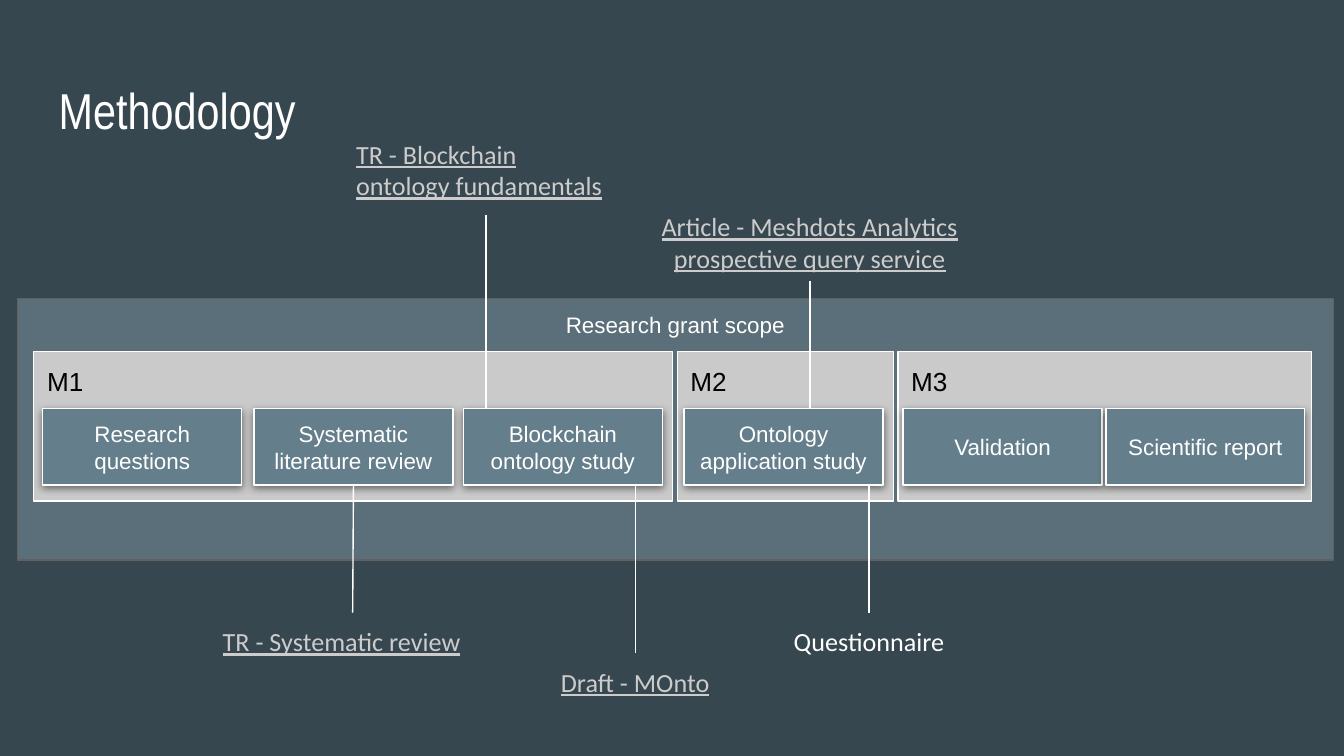
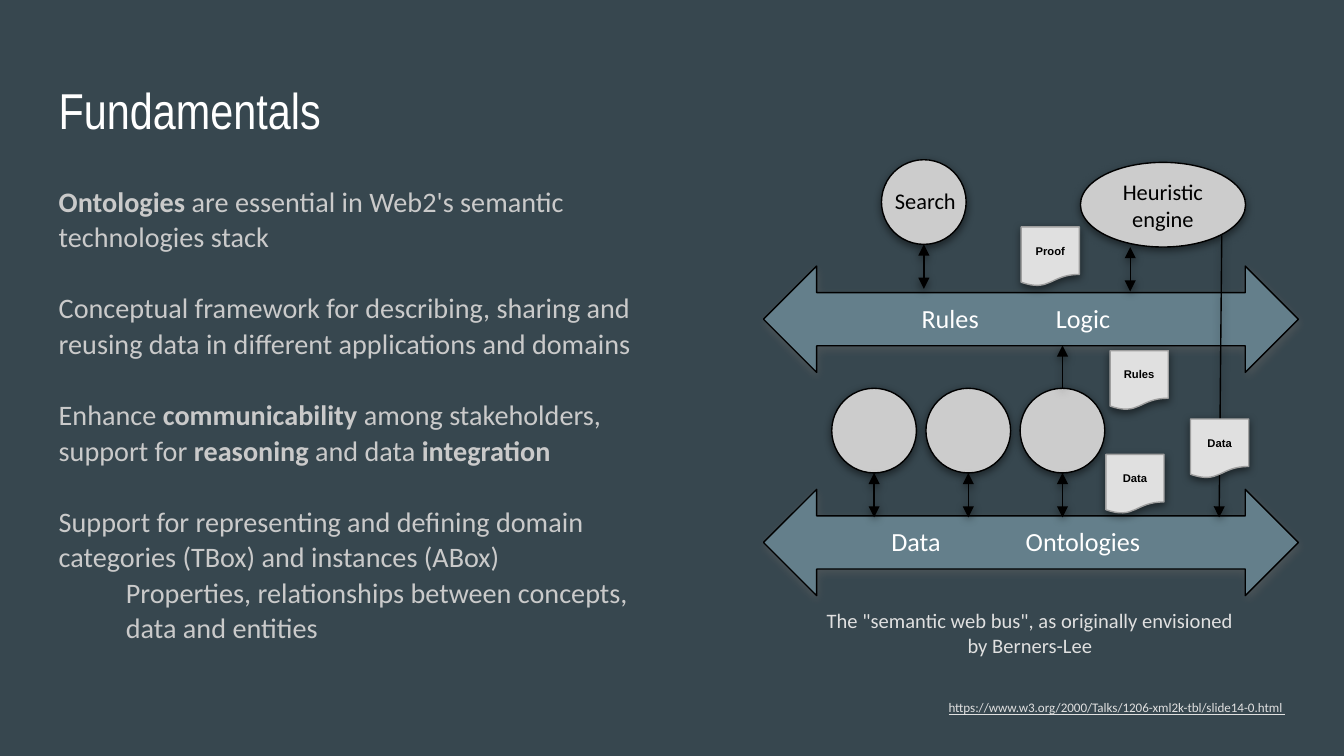
from lxml.etree import SubElement
from pptx import Presentation
from pptx.dml.color import RGBColor
from pptx.enum.shapes import MSO_CONNECTOR as Link, MSO_SHAPE as Shape
from pptx.enum.text import MSO_ANCHOR as Anchor, MSO_AUTO_SIZE as AutoSize, PP_ALIGN as Align
from pptx.oxml.ns import qn
from pptx.util import Cm, Pt

COLOURS = {
    "background": "37474F",
    "scope": "5A6F79",
    "scope_edge": "616161",
    "milestone": "CACACA",
    "step": "647F8B",
    "node": "CCCCCC",
    "document": "E0E0E0",
    "document_edge": "9E9E9E",
    "white": "FFFFFF",
    "black": "000000",
}
TITLE_ONLY, TITLE_AND_BODY = 5, 1
TOP, BOTTOM = 0, 2


def rgb(name):
    return RGBColor.from_string(COLOURS[name])


class Deck:
    def __init__(self):
        self.prs = Presentation()
        self.prs.slide_width, self.prs.slide_height = Cm(25.4), Cm(14.29)
        backdrop = self.prs.slide_master.background.fill
        backdrop.solid()
        backdrop.fore_color.rgb = rgb("background")
        self.slide = None

    def new_slide(self, heading, layout):
        self.slide = self.prs.slides.add_slide(self.prs.slide_layouts[layout])
        title = self.slide.shapes.title
        self.place(title, 0.86, 1.24, 23.67, 1.6)
        self.letter(title, heading, 27, "white", "Arial Narrow", Align.LEFT)

    def place(self, shape, left, top, width, height):
        shape.left, shape.top = Cm(left), Cm(top)
        shape.width, shape.height = Cm(width), Cm(height)

    def frame(self, shape, anchor):
        frame = shape.text_frame
        frame.word_wrap = True
        frame.auto_size = AutoSize.NONE
        frame.vertical_anchor = anchor
        frame.margin_left = frame.margin_right = Cm(0.25)
        frame.margin_top = frame.margin_bottom = Cm(0.25)
        return frame

    def style(self, paragraph, size, colour, font, align):
        paragraph.alignment = align
        for run in paragraph.runs:
            run.font.size = Pt(size)
            run.font.name = font
            run.font.color.rgb = rgb(colour)

    def letter(self, shape, text, size, colour, font="Calibri", align=Align.CENTER,
               anchor=Anchor.TOP, bold=False, underline=False):
        frame = self.frame(shape, anchor)
        frame.text = text
        for paragraph in frame.paragraphs:
            self.style(paragraph, size, colour, font, align)
            for run in paragraph.runs:
                run.font.bold = bold
                run.font.underline = underline

    def body(self, box, items, size, colour):
        holder = self.slide.placeholders[1]
        self.place(holder, *box)
        frame = self.frame(holder, Anchor.TOP)
        for number, (text, indent, gap) in enumerate(items):
            paragraph = frame.add_paragraph() if number else frame.paragraphs[0]
            for part, words in enumerate(text.split("*")):
                if words:
                    run = paragraph.add_run()
                    run.text = words
                    run.font.bold = part % 2 == 1
            self.style(paragraph, size, colour, "Calibri", Align.LEFT)
            paragraph.line_spacing = 1.05
            paragraph.space_before = Pt(gap)
            properties = paragraph._p.get_or_add_pPr()
            properties.set("marL", str(Cm(indent)))
            properties.set("indent", "0")
            SubElement(properties, qn("a:buNone"))

    def label(self, box, text, size=14, colour="white", **kwargs):
        label = self.slide.shapes.add_textbox(*map(Cm, box))
        self.letter(label, text, size, colour, **kwargs)
        return label

    def cast_shadow(self, effects, colour="black"):
        shadow = SubElement(effects, qn("a:outerShdw"), blurRad=str(Pt(4.5)), dist=str(Pt(1.5)),
                            dir="5400000", algn="bl", rotWithShape="0")
        tint = SubElement(shadow, qn("a:srgbClr"), val=COLOURS[colour])
        SubElement(tint, qn("a:alpha"), val="50000")

    def block(self, kind, box, fill, edge, shadow=None):
        block = self.slide.shapes.add_shape(kind, *map(Cm, box))
        block.fill.solid()
        block.fill.fore_color.rgb = rgb(fill)
        block.line.color.rgb = rgb(edge)
        block.line.width = Pt(0.75)
        block.shadow.inherit = False
        if shadow:
            self.cast_shadow(block._element.spPr.find(qn("a:effectLst")), shadow)
        return block

    def line(self, x1, y1, x2, y2, colour, ends=(), shadow=False):
        line = self.slide.shapes.add_connector(Link.STRAIGHT, *map(Cm, (x1, y1, x2, y2)))
        line.line.color.rgb = rgb(colour)
        line.line.width = Pt(0.75)
        properties = line._element.spPr
        for end in ends:
            SubElement(properties.find(qn("a:ln")), qn(f"a:{end}"), type="triangle")
        effects = SubElement(properties, qn("a:effectLst"))
        if shadow:
            self.cast_shadow(effects)
        return line


def methodology(deck):
    deck.new_slide("Methodology", TITLE_ONLY)
    scope = deck.block(Shape.RECTANGLE, (0.33, 5.64, 24.87, 4.95), "scope", "scope_edge")
    deck.letter(scope, "Research grant scope", 12, "white", "Arial")

    for name, left, width in (("M1", 0.64, 12.07), ("M2", 12.8, 4.09), ("M3", 16.97, 7.82)):
        milestone = deck.block(Shape.RECTANGLE, (left, 6.65, width, 2.82), "milestone", "white")
        deck.letter(milestone, name, 14, "black", "Arial", Align.LEFT)

    step_top, step_width, step_height = 7.72, 3.76, 1.45
    steps = {}
    for name, left in (
        ("Research questions", 0.81),
        ("Systematic literature review", 4.8),
        ("Blockchain ontology study", 8.76),
        ("Ontology application study", 12.93),
        ("Validation", 17.07),
        ("Scientific report", 20.9),
    ):
        steps[name] = deck.block(Shape.RECTANGLE, (left, step_top, step_width, step_height),
                                 "step", "white", "black")
        deck.letter(steps[name], name, 12, "white", "Arial", anchor=Anchor.MIDDLE)

    outputs = (
        ("TR - Systematic review", (3.96, 11.58, 5.41, 1.12), Align.LEFT, True),
        ("TR - Blockchain ontology fundamentals", (6.48, 2.36, 5.41, 1.7), Align.LEFT, True),
        ("Draft - MOnto", (9.3, 12.34, 5.41, 1.12), Align.CENTER, True),
        ("Article - Meshdots Analytics prospective query service",
         (11.33, 3.73, 7.95, 1.58), Align.CENTER, True),
        ("Questionnaire", (13.72, 11.58, 5.41, 1.12), Align.CENTER, False),
    )
    for text, box, align, linked in outputs:
        output = deck.label(box, text, colour="node" if linked else "white",
                            align=align, underline=linked)
        left, top, width, height = box
        middle = left + width / 2
        if top < step_top:
            stem = deck.line(middle, step_top, middle, top + height, "white")
            stem.end_connect(output, BOTTOM)
        else:
            stem = deck.line(middle, step_top + step_height, middle, top, "white")
            stem.end_connect(output, TOP)
        if text == "TR - Systematic review":
            stem.begin_connect(steps["Systematic literature review"], BOTTOM)


def fundamentals(deck):
    deck.new_slide("Fundamentals", TITLE_AND_BODY)
    gap = 19
    deck.body((0.86, 3.2, 11.84, 9.96), (
        ("*Ontologies* are essential in Web2's semantic technologies stack", 0, 0),
        ("Conceptual framework for describing, sharing and reusing data in different "
         "applications and domains", 0, gap),
        ("Enhance *communicability* among stakeholders, support for *reasoning* "
         "and data *integration*", 0, gap),
        ("Support for representing and defining domain categories (TBox) "
         "and instances (ABox)", 0, gap),
        ("Properties, relationships between concepts, data and entities", 1.27, 0),
    ), 15.1, "milestone")

    buses = ((5.03, "Rules \t\tLogic"), (9.25, "Data \t\tOntologies"))
    for top, _ in buses:
        deck.block(Shape.LEFT_RIGHT_ARROW, (14.43, top, 10.11, 2.01), "step", "black", "scope_edge")
    for top, text in buses:
        deck.label((15.72, top + 0.44, 6.96, 1.12), text)

    node = 1.6
    deck.block(Shape.OVAL, (16.66, 3.02, node, node), "node", "black", "black")
    deck.label((16.46, 3.28, 2.06, 1.02), "Search", 12, "black")
    engine = deck.block(Shape.OVAL, (20.42, 3.07, 3.12, node), "node", "black", "black")
    deck.letter(engine, "Heuristic engine", 12, "black", anchor=Anchor.MIDDLE)

    both, forward = ("headEnd", "tailEnd"), ("tailEnd",)
    source_lefts = [15.72 + 1.78 * i for i in range(3)]
    for left in source_lefts:
        deck.block(Shape.OVAL, (left, 7.34, node, node), "node", "black", "black")
    flows = [(left + node / 2, 8.94) for left in source_lefts]
    for x, top in flows + [(17.46, 4.62), (21.36, 4.67)]:
        deck.line(x, top, x, top + 0.84, "black", both, True)
    deck.line(23.09, 4.45, 23.04, 9.78, "black", forward, True)
    last = flows[-1][0]
    deck.line(last, 7.34, last, 6.53, "black", forward, True)

    for name, left, top in (("Rules", 20.98, 6.63), ("Proof", 19.3, 4.29),
                            ("Data", 22.5, 7.92), ("Data", 20.9, 8.59)):
        document = deck.block(Shape.FLOWCHART_DOCUMENT, (left, top, 1.1, 1.12),
                              "document", "document_edge", "black")
        deck.letter(document, name, 6, "black", "Arial", anchor=Anchor.MIDDLE, bold=True)

    deck.label((14.27, 11.25, 10.39, 1.45),
               'The "semantic web bus", as originally envisioned\nby Berners-Lee', 11, "document")
    deck.label((15.29, 12.98, 9.25, 0.81),
               "https://www.w3.org/2000/Talks/1206-xml2k-tbl/slide14-0.html ",
               7, "document", align=Align.RIGHT, underline=True)


def main():
    deck = Deck()
    methodology(deck)
    fundamentals(deck)
    deck.prs.save("out.pptx")


if __name__ == "__main__":
    main()
